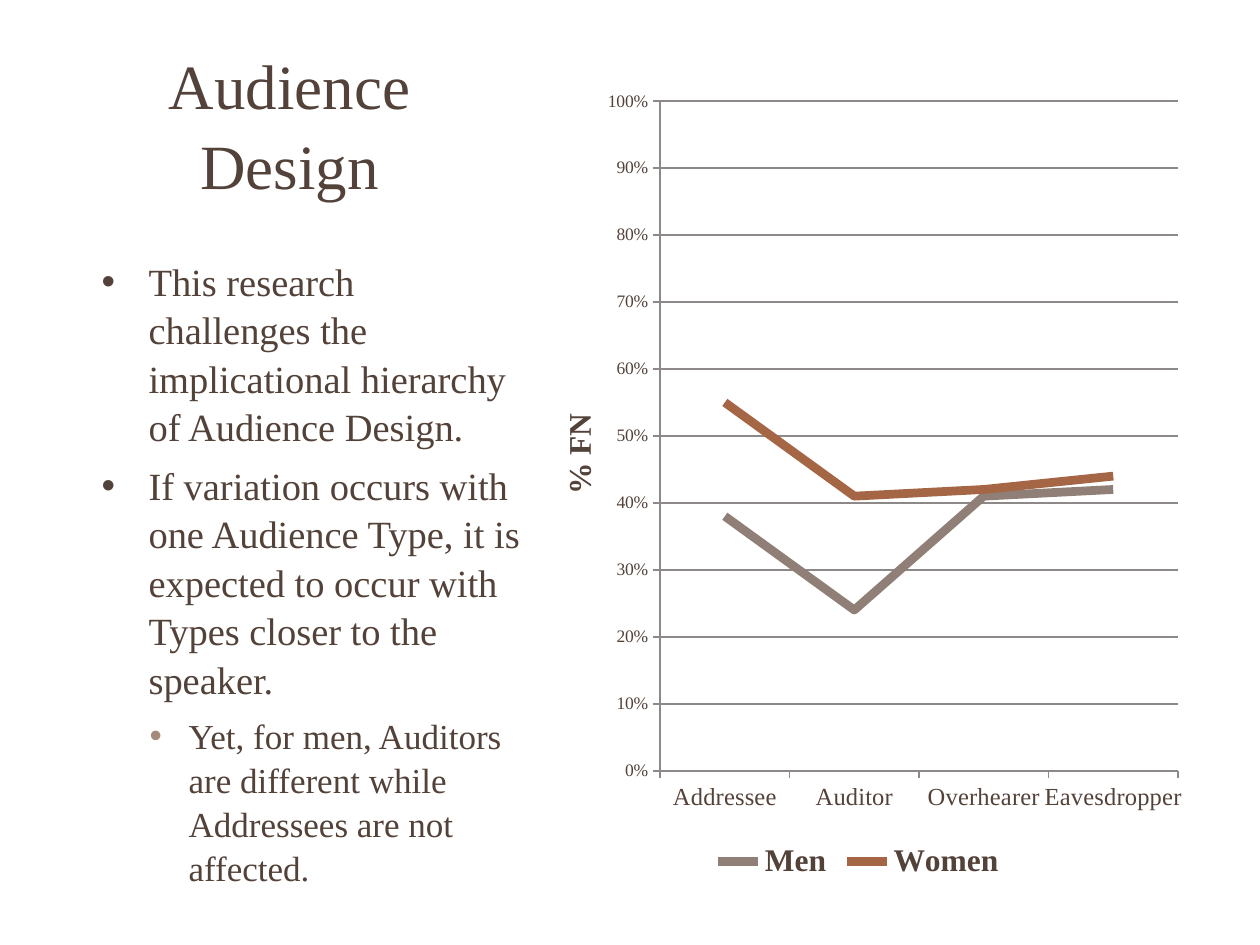
from dataclasses import dataclass

from lxml import etree
from pptx import Presentation
from pptx.chart.data import CategoryChartData
from pptx.dml.color import RGBColor
from pptx.enum.chart import XL_CHART_TYPE, XL_LEGEND_POSITION, XL_TICK_MARK
from pptx.enum.text import MSO_ANCHOR, MSO_AUTO_SIZE, PP_ALIGN
from pptx.oxml import parse_xml
from pptx.oxml.ns import nsdecls, qn
from pptx.util import Pt

EMU_PER_PX = 914400 / 126
FONT = "Times New Roman"
BROWN = RGBColor(0x53, 0x42, 0x39)
TAN = RGBColor(0xA5, 0x8A, 0x7B)
GRAY = RGBColor(0x8C, 0x89, 0x88)
TAUPE = RGBColor(0x90, 0x7F, 0x76)
RUST = RGBColor(0xA4, 0x66, 0x45)
LINE_CHART = XL_CHART_TYPE.LINE
LEGEND_BOTTOM = XL_LEGEND_POSITION.BOTTOM
TICK_OUTSIDE = XL_TICK_MARK.OUTSIDE
TICK_NONE = XL_TICK_MARK.NONE
LINE_SPACING = 1.05


@dataclass(frozen=True)
class Box:
    left: int
    top: int
    width: int
    height: int


@dataclass(frozen=True)
class Bullet:
    text: str
    level: int
    size: int
    margin: int
    hanging: int
    color: RGBColor


@dataclass(frozen=True)
class Series:
    name: str
    values: tuple[float, ...]
    color: RGBColor


TITLE_BOX = Box(116, 126, 347, 82)
BODY_BOX = Box(89, 249, 445, 614)
CHART_BOX = Box(520, 76, 677, 809)
BULLETS = (
    Bullet("This research challenges the implicational hierarchy of Audience Design.",
           0, 22, 47, 47, BROWN),
    Bullet("If variation occurs with one Audience Type, it is expected to occur "
           "with Types closer to the speaker.", 0, 22, 47, 47, BROWN),
    Bullet("Yet, for men, Auditors are different while Addressees are not affected.",
           1, 20, 87, 39, TAN),
)
CATEGORIES = ("Addressee", "Auditor", "Overhearer", "Eavesdropper")
SERIES = (
    Series("Men", (0.38, 0.24, 0.41, 0.42), TAUPE),
    Series("Women", (0.55, 0.41, 0.42, 0.44), RUST),
)


def px(length: int) -> int:
    return round(length * EMU_PER_PX)


def place(shape, box: Box) -> None:
    shape.left, shape.top = px(box.left), px(box.top)
    shape.width, shape.height = px(box.width), px(box.height)


def style_font(font, size: int, bold: bool = False) -> None:
    font.name = FONT
    font.size = Pt(size)
    font.bold = bold
    font.color.rgb = BROWN


def style_paragraph(para, size: int) -> None:
    para.line_spacing = LINE_SPACING
    for span in para.runs:
        style_font(span.font, size)


def fill_title(title) -> None:
    place(title, TITLE_BOX)
    frame = title.text_frame
    frame.text = "Audience Design"
    frame.word_wrap = True
    frame.auto_size = MSO_AUTO_SIZE.NONE
    frame.vertical_anchor = MSO_ANCHOR.BOTTOM
    para = frame.paragraphs[0]
    para.alignment = PP_ALIGN.CENTER
    style_paragraph(para, 36)


def set_bullet(para, bullet: Bullet) -> None:
    properties = para._p.get_or_add_pPr()
    properties.set("marL", str(px(bullet.margin)))
    properties.set("indent", str(-px(bullet.hanging)))
    color = etree.SubElement(properties, qn("a:buClr"))
    etree.SubElement(color, qn("a:srgbClr"), val=str(bullet.color))
    etree.SubElement(properties, qn("a:buFont"), typeface="Arial")
    etree.SubElement(properties, qn("a:buChar"), char="•")


def fill_body(body) -> None:
    place(body, BODY_BOX)
    frame = body.text_frame
    frame.text = "\n".join(bullet.text for bullet in BULLETS)
    frame.word_wrap = True
    frame.auto_size = MSO_AUTO_SIZE.NONE
    for para, bullet in zip(frame.paragraphs, BULLETS):
        para.level = bullet.level
        para.alignment = PP_ALIGN.LEFT
        para.space_before = Pt(6)
        style_paragraph(para, bullet.size)
        set_bullet(para, bullet)


def manual_layout(**settings: str | float):
    """Build a chart layout element; settings must follow schema order."""
    items = "".join(f'<c:{key} val="{value}"/>' for key, value in settings.items())
    return parse_xml(f'<c:layout {nsdecls("c")}><c:manualLayout>{items}'
                     "</c:manualLayout></c:layout>")


def set_layout(parent, layout, position: int) -> None:
    for old in parent.findall(qn("c:layout")):
        parent.remove(old)
    parent.insert(position, layout)


def style_axis(axis, size: int) -> None:
    style_font(axis.tick_labels.font, size)
    axis.major_tick_mark = TICK_OUTSIDE
    axis.minor_tick_mark = TICK_NONE
    axis.format.line.color.rgb = GRAY
    axis.format.line.width = Pt(1)


def add_line_chart(page) -> None:
    data = CategoryChartData(number_format="0%")
    data.categories = CATEGORIES
    for series in SERIES:
        data.add_series(series.name, series.values)
    frame = page.shapes.add_chart(LINE_CHART, 0, 0, px(CHART_BOX.width),
                                  px(CHART_BOX.height), data)
    place(frame, CHART_BOX)
    chart = frame.chart
    style_font(chart.font, 10)
    chart.has_title = False
    chart.has_legend = True
    chart.legend.position = LEGEND_BOTTOM
    chart.legend.include_in_layout = False
    style_font(chart.legend.font, 18, bold=True)

    style_axis(chart.category_axis, 14)
    value_axis = chart.value_axis
    style_axis(value_axis, 10)
    value_axis.minimum_scale, value_axis.maximum_scale = 0, 1
    value_axis.major_unit = 0.1
    value_axis.tick_labels.number_format = "0%"
    value_axis.tick_labels.number_format_is_linked = False
    value_axis.has_major_gridlines = True
    value_axis.major_gridlines.format.line.color.rgb = GRAY
    value_axis.major_gridlines.format.line.width = Pt(1)

    title = value_axis.axis_title
    title.text_frame.text = "% FN"
    style_font(title.text_frame.paragraphs[0].runs[0].font, 18, bold=True)
    title.text_frame._txBody.bodyPr.set("rot", "-5400000")
    title.text_frame._txBody.bodyPr.set("vert", "horz")
    set_layout(title._element,
               manual_layout(xMode="edge", yMode="edge", x=0.05, y=0.41), 1)

    plot = chart.plots[0]
    plot.vary_by_categories = False
    for line, series in zip(plot.series, SERIES):
        line.smooth = False
        line.format.line.color.rgb = series.color
        line.format.line.width = Pt(5)
    plot_area = chart._chartSpace.chart.plotArea
    set_layout(plot_area, manual_layout(layoutTarget="inner", xMode="edge", yMode="edge",
                                        x=0.207, y=0.031, w=0.765, h=0.828), 0)


def main() -> None:
    deck = Presentation()
    deck.slide_width, deck.slide_height = px(1260), px(945)
    page = deck.slides.add_slide(deck.slide_layouts[1])
    fill_title(page.shapes.title)
    fill_body(page.placeholders[1])
    add_line_chart(page)
    deck.save("out.pptx")


if __name__ == "__main__":
    main()
